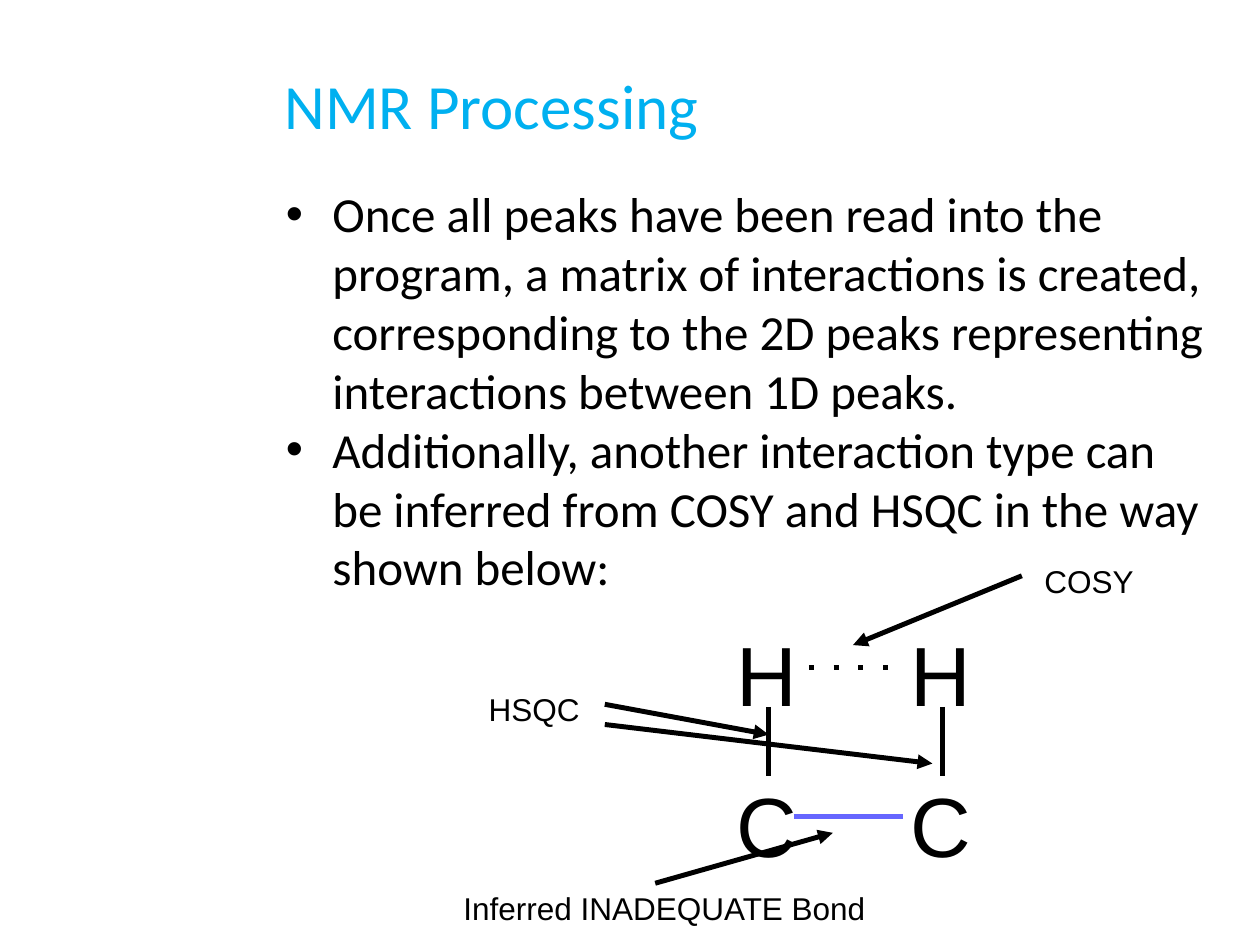
"""Build the NMR processing slide with its COSY, HSQC and INADEQUATE diagram."""
from pptx import Presentation
from pptx.dml.color import RGBColor
from pptx.enum import shapes, text
from pptx.oxml import ns, xmlchemy
from pptx.util import Inches, Pt

BLACK = RGBColor(0x00, 0x00, 0x00)
TITLE_BLUE = RGBColor(0x00, 0xB0, 0xF0)
BOND_BLUE = RGBColor(0x66, 0x66, 0xFF)


def add_text(s, lines, x, y, w, h, size, font="Arial", color=BLACK):
    sp = s.shapes.add_textbox(Inches(x), Inches(y), Inches(w), Inches(h))
    tf = sp.text_frame
    tf.word_wrap = True
    tf.text = "\n".join(lines)
    for p in tf.paragraphs:
        for r in p.runs:
            r.font.size = Pt(size)
            r.font.name = font
            r.font.color.rgb = color
    return tf


def add_line(s, x1, y1, x2, y2, color=BLACK, arrow=False):
    cx = s.shapes.add_connector(shapes.MSO_CONNECTOR.STRAIGHT,
                                Inches(x1), Inches(y1), Inches(x2), Inches(y2))
    cx.line.color.rgb = color
    cx.line.width = Pt(2.83)
    ln = cx.line._get_or_add_ln()
    if arrow:
        tail = xmlchemy.OxmlElement("a:tailEnd")
        tail.set("type", "triangle")
        ln.append(tail)
    cx._element.spPr.append(xmlchemy.OxmlElement("a:effectLst"))
    return ln


prs = Presentation()
prs.slide_width = Inches(10)
prs.slide_height = Inches(7.5)
s = prs.slides.add_slide(prs.slide_layouts[6])

tf = add_text(s, ["NMR Processing"], 2.16, 0.41, 7.17, 0.83, 36, "Calibri", TITLE_BLUE)
tf.vertical_anchor = text.MSO_ANCHOR.MIDDLE

tf = add_text(s, [
    "Once all peaks have been read into the program, a matrix of interactions is "
    "created, corresponding to the 2D peaks representing interactions between 1D peaks.",
    "Additionally, another interaction type can be inferred from COSY and HSQC in the "
    "way shown below:",
], 2.16, 1.41, 7.52, 2.05, 28, "Calibri")
for p in tf.paragraphs:
    pPr = p._p.get_or_add_pPr()
    pPr.set("marL", str(Inches(0.38)))
    pPr.set("indent", str(Inches(-0.37)))
    font = xmlchemy.OxmlElement("a:buFont")
    font.set("typeface", "Arial")
    bullet = xmlchemy.OxmlElement("a:buChar")
    bullet.set("char", "•")
    pPr.extend([font, bullet])

for x in (5.75, 7.13):
    add_text(s, ["C"], x, 6.09, 0.79, 0.84, 48)
    add_text(s, ["H"], x, 4.89, 0.79, 0.84, 48)
    add_line(s, x + 0.35, 5.61, x + 0.35, 6.16)

ln = add_line(s, 6.42, 5.3, 7.13, 5.3)
dash = xmlchemy.OxmlElement("a:custDash")
stop = xmlchemy.OxmlElement("a:ds")
stop.set("d", "100000")
stop.set("sp", "400000")
dash.append(stop)
ln.find(ns.qn("a:solidFill")).addnext(dash)

add_line(s, 6.3, 6.48, 7.17, 6.48, BOND_BLUE)

for x1, y1, x2, y2 in (
    (8.11, 4.57, 6.77, 5.12),
    (4.8, 5.59, 6.1, 5.83),
    (4.8, 5.75, 7.4, 6.06),
    (5.2, 7.01, 6.61, 6.61),
):
    add_line(s, x1, y1, x2, y2, arrow=True)

for label, x, y, w in (
    ("HSQC", 3.78, 5.43, 1.02),
    ("COSY", 8.19, 4.41, 1.02),
    ("Inferred INADEQUATE Bond", 3.58, 7.01, 3.62),
):
    add_text(s, [label], x, y, w, 0.39, 18)

prs.save("out.pptx")
